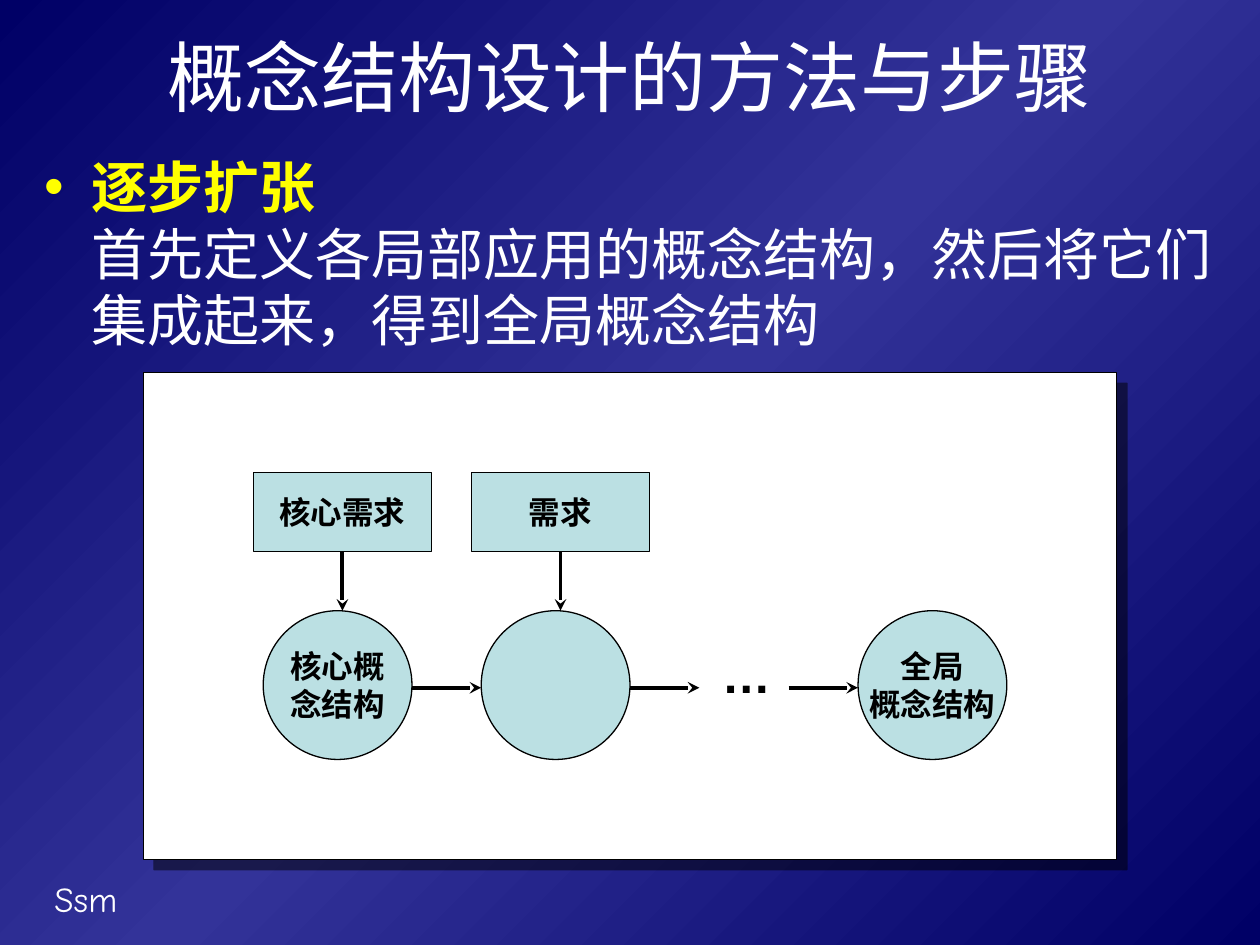
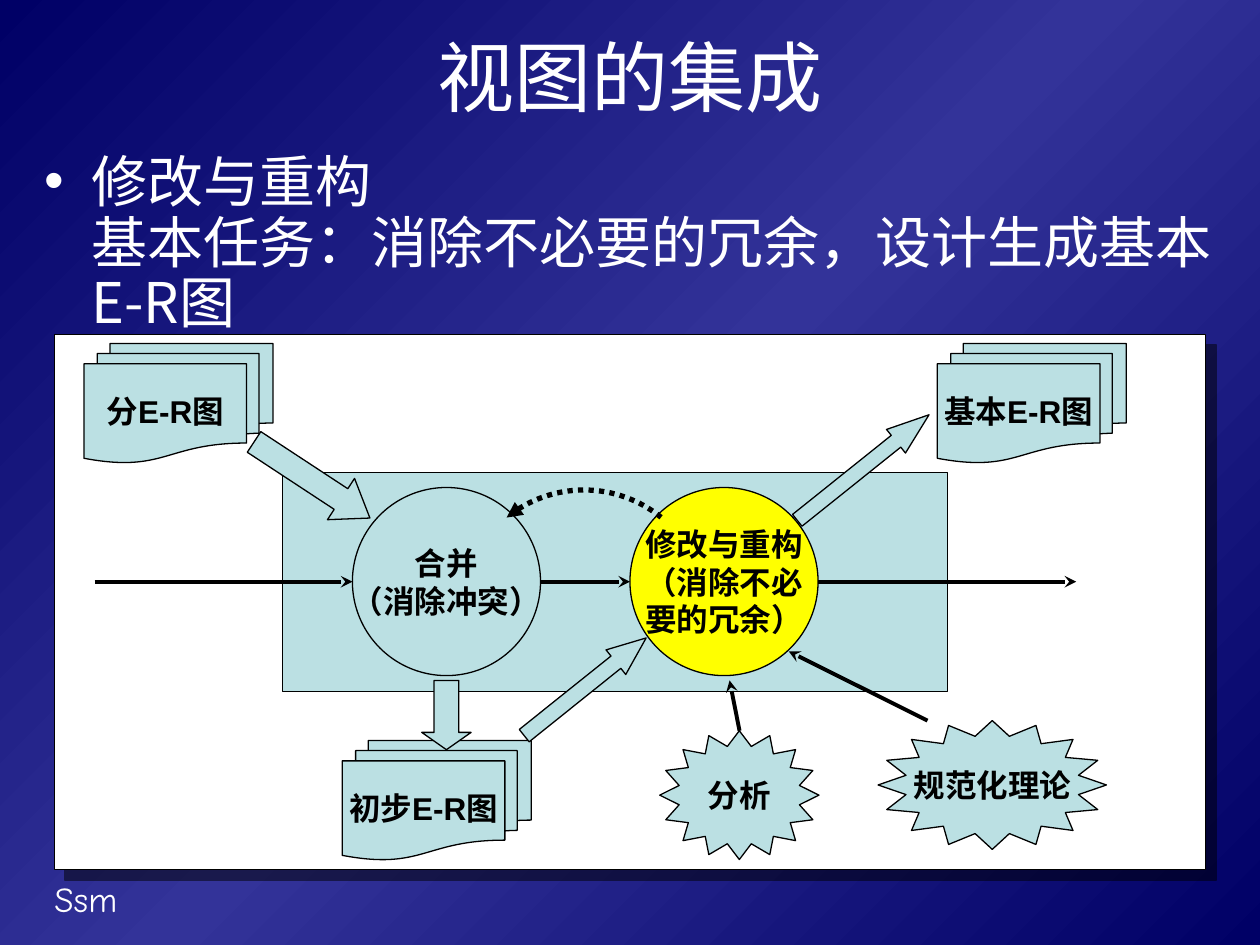
from copy import deepcopy

from lxml import etree
from pptx import Presentation
from pptx.dml.color import RGBColor
from pptx.enum import shapes as kinds, text as txt
from pptx.oxml import ns
from pptx.util import Pt

HUES = {
    "night": "000066", "blue": "333399", "pale": "BBE0E3",
    "yellow": "FFFF00", "white": "FFFFFF", "black": "000000",
}
HEAD, LABEL, FOOT = "Noto Sans CJK SC", "Arial", "Comic Neue"
FORM = kinds.MSO_SHAPE


def hue(name):
    return RGBColor.from_string(HUES[name])


def sub(node, tag, **attrs):
    """Append a drawing element to a node."""
    return etree.SubElement(node, ns.qn("a:" + tag), attrs)


class Deck:
    def __init__(self):
        self.prs = Presentation()
        self.prs.slide_width, self.prs.slide_height = Pt(720), Pt(540)
        self.slide = None
        self.paint()

    def paint(self):
        """Give the master its diagonal three-stop gradient."""
        master = self.prs.slide_master
        fill = master.background.fill
        fill.gradient()
        fill.gradient_angle = 315
        stops = master.element.find(".//" + ns.qn("a:gsLst"))
        stops.append(deepcopy(stops[0]))
        for i, name in enumerate(("night", "blue", "night")):
            stop = fill.gradient_stops[i]
            stop.position = i / 2
            stop.color.rgb = hue(name)

    def font(self, para, name, size, color, bold=False):
        font = para.font
        font.name, font.size, font.bold = name, Pt(size), bold
        font.color.rgb = hue(color)
        props = para._p.pPr.find(ns.qn("a:defRPr"))
        sub(props, "ea", typeface=name)

    def page(self, title):
        """Start a slide with its title and footer."""
        self.slide = self.prs.slides.add_slide(self.prs.slide_layouts[1])
        head = self.slide.shapes.title
        self.place(head, 36, 12, 648, 63)
        head.text_frame.text = title
        head.text_frame.auto_size = txt.MSO_AUTO_SIZE.NONE
        para = head.text_frame.paragraphs[0]
        para.alignment = txt.PP_ALIGN.CENTER
        self.font(para, HEAD, 44, "white")
        self.note("Ssm", 24, 498, 150, 32, FOOT, 20, "white")

    def place(self, shape, x, y, w, h):
        shape.left, shape.top = Pt(x), Pt(y)
        shape.width, shape.height = Pt(w), Pt(h)

    def body(self, lead, rest, high, pitch, accent=None):
        """Fill the body with one bullet: a lead line, then its text."""
        box = self.slide.placeholders[1]
        self.place(box, 18, 84, 690, high)
        box.text_frame.auto_size = txt.MSO_AUTO_SIZE.NONE
        para = box.text_frame.paragraphs[0]
        para.space_before, para.line_spacing = Pt(0), Pt(pitch)
        mark = sub(para._p.get_or_add_pPr(), "buClr")
        sub(mark, "srgbClr", val=HUES[accent or "white"])
        self.font(para, HEAD, 32, "white")
        first = para.add_run()
        first.text = lead
        if accent:
            first.font.bold = True
            first.font.color.rgb = hue(accent)
        para.add_line_break()
        para.add_run().text = rest

    def note(self, words, x, y, w, h, name, size, color, bold=False):
        box = self.slide.shapes.add_textbox(Pt(x), Pt(y), Pt(w), Pt(h))
        box.text_frame.word_wrap = True
        box.text_frame.text = words
        self.font(box.text_frame.paragraphs[0], name, size, color, bold)

    def form(self, kind, x, y, w, h, words="", fill="pale", turn=0, adj=()):
        """Draw an outlined shape with an optional centred label."""
        shape = self.slide.shapes.add_shape(kind, Pt(x), Pt(y), Pt(w), Pt(h))
        shape.shadow.inherit = False
        shape.rotation = turn
        for i, value in enumerate(adj):
            shape.adjustments[i] = value
        if fill:
            shape.fill.solid()
            shape.fill.fore_color.rgb = hue(fill)
        else:
            shape.fill.background()
        shape.line.color.rgb = hue("black")
        shape.line.width = Pt(0.75)
        if words:
            frame = shape.text_frame
            frame.text = words
            frame.word_wrap = False
            frame.vertical_anchor = txt.MSO_ANCHOR.MIDDLE
            for para in frame.paragraphs:
                para.alignment = txt.PP_ALIGN.CENTER
                para.line_spacing = Pt(21.6)
                self.font(para, LABEL, 18, "black", True)
        return shape

    def panel(self, x, y, w, h):
        """Draw the white board with a hard shadow."""
        board = self.form(FORM.RECTANGLE, x, y, w, h, fill="white")
        effects = board._element.spPr.find(ns.qn("a:effectLst"))
        shade = sub(effects, "outerShdw", blurRad="0", dist=str(Pt(8.5)),
                    dir="2700000", algn="ctr", rotWithShape="0")
        tone = sub(shade, "srgbClr", val=HUES["black"])
        sub(tone, "alpha", val="50000")

    def arrow(self, x1, y1, x2, y2, start=None):
        """Draw an arrow, joined to the bottom of start if given."""
        line = self.slide.shapes.add_connector(
            kinds.MSO_CONNECTOR.STRAIGHT, Pt(x1), Pt(y1), Pt(x2), Pt(y2))
        if start is not None:
            line.begin_connect(start, 2)
        line.line.color.rgb = hue("black")
        line.line.width = Pt(2.25)
        sub(line.line._get_or_add_ln(), "tailEnd", type="stealth")
        sub(line._element.spPr, "effectLst")

    def arc(self, x, y, size, start, end):
        """Draw a dotted arc with its arrowhead at the start angle."""
        curve = self.form(FORM.ARC, x, y, size, size, fill=None,
                          adj=(start * 0.6, end * 0.6))
        curve.line.width = Pt(3)
        ln = curve.line._get_or_add_ln()
        sub(ln, "prstDash", val="sysDot")
        sub(ln, "headEnd", type="triangle")


def grow(deck):
    """Slide 1: stepwise expansion."""
    deck.page("概念结构设计的方法与步骤")
    deck.body("逐步扩张",
              "首先定义各局部应用的概念结构，然后将它们集成起来，得到全局概念结构",
              414, 38, "yellow")
    deck.panel(82, 213, 556, 278)

    # Concept circles
    size, top, mid = 85, 349, 393
    for x, words in ((150.4, "核心概\n念结构"), (275, ""),
                     (490.3, "全局\n概念结构")):
        deck.form(FORM.OVAL, x, top, size, size, words)

    # Needs feeding the circles
    for i, words in enumerate(("核心需求", "需求")):
        x = 144.7 + i * 124.6
        need = deck.form(FORM.RECTANGLE, x, 270, 102, 45, words)
        deck.arrow(x + 51, 315, x + 51, top, need)

    # Chain of steps
    for x in (235.4, 360, 450.7):
        deck.arrow(x, mid, x + 39.6, mid)
    deck.note("…", 405.4, 365, 51, 41, LABEL, 28, "black", True)


def merge(deck):
    """Slide 2: integration of views."""
    deck.page("视图的集成")
    deck.body("修改与重构",
              "基本任务：消除不必要的冗余，设计生成基本E-R图", 112, 34.6)
    deck.panel(31, 191, 658, 306)

    # Process band and its two stages
    deck.form(FORM.RECTANGLE, 161.3, 270, 380.2, 125.3)
    for x, words, fill in (
            (201.4, "合并\n（消除冲突）", "pale"),
            (360, "修改与重构\n（消除不必\n要的冗余）", "yellow")):
        deck.form(FORM.OVAL, x, 278.6, 107.5, 107.5, words, fill)

    # Diagrams going in and out
    for x, y, words in ((48, 196.3, "分E-R图"), (195.6, 423.2, "初步E-R图"),
                        (535.6, 196.3, "基本E-R图")):
        deck.form(FORM.FLOWCHART_MULTIDOCUMENT, x, y, 108, 68.2, words)
    for x, y, w, h, turn, tip in (
            (164.2, 234.7, 28.2, 79.2, 303.3, 0.7),
            (241, 388.8, 28.2, 39.6, 0, 0.35),
            (325.4, 347.8, 18, 89.3, 231.3, 1.23),
            (484.6, 218.9, 17.3, 96.5, 231.3, 1.4)):
        deck.form(FORM.DOWN_ARROW, x, y, w, h, turn=turn, adj=(0.5, tip))

    # Supporting methods
    for x, y, w, words in ((377, 417.6, 91, "分析"),
                           (501.8, 411.8, 130.5, "规范化理论")):
        deck.form(FORM.STAR_16_POINT, x, y, w, 73.6, words, adj=(0.385,))

    # Flow lines
    for ends in ((422.6, 417.6, 416.9, 388.8), (530, 411.8, 450.7, 372.2),
                 (54, 332.4, 201.4, 332.4), (467.5, 332.4, 615, 332.4),
                 (308.9, 332.4, 360, 332.4)):
        deck.arrow(*ends)
    deck.arc(263.9, 280, 139.7, 230.7, 309.3)


def main():
    deck = Deck()
    grow(deck)
    merge(deck)
    deck.prs.save("out.pptx")


if __name__ == "__main__":
    main()
